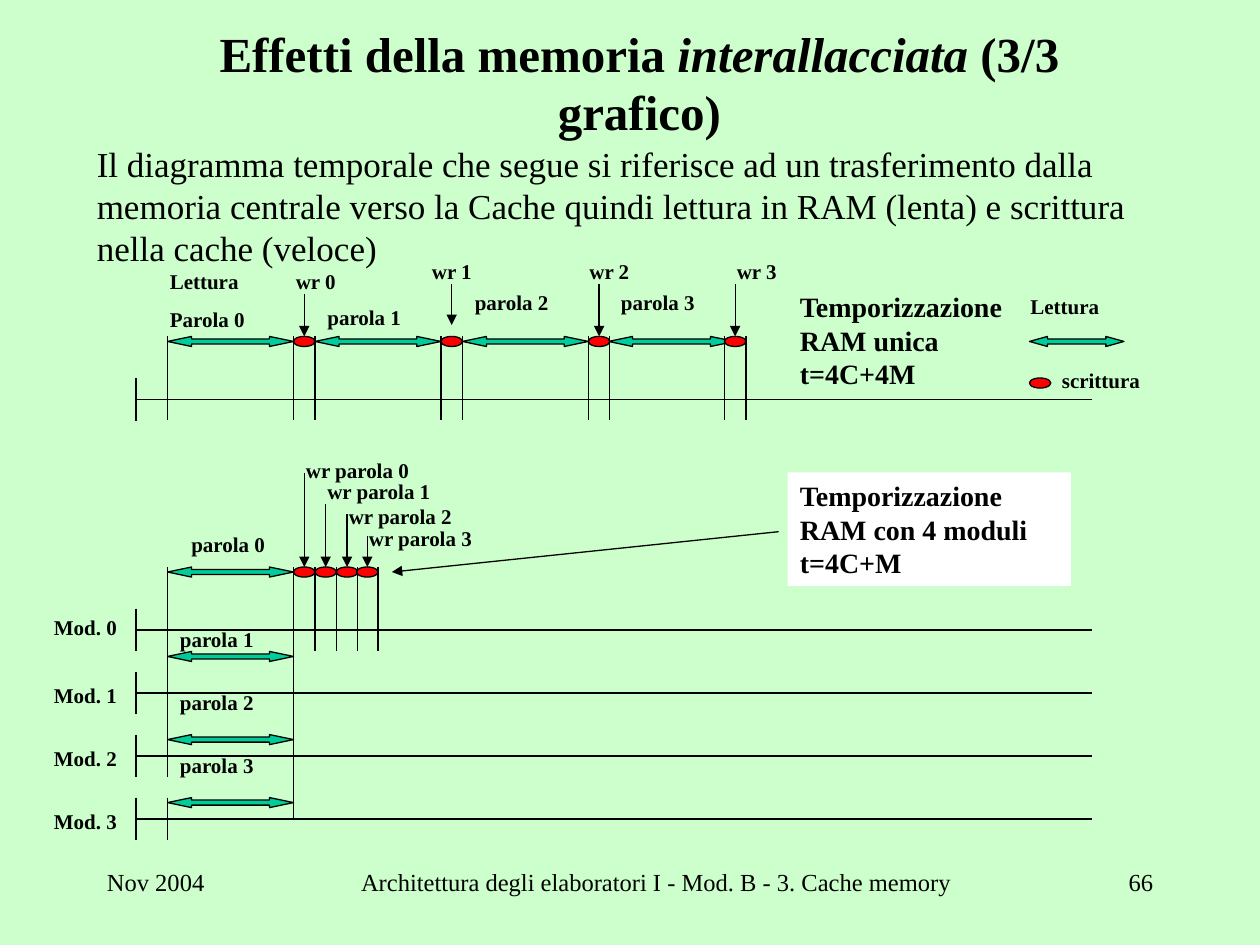
from lxml.etree import SubElement
from pptx import Presentation
from pptx.dml.color import RGBColor
from pptx.enum.shapes import MSO_CONNECTOR, MSO_SHAPE
from pptx.enum.text import MSO_ANCHOR, PP_ALIGN
from pptx.oxml.ns import qn
from pptx.util import Inches, Pt

color = RGBColor.from_string
BLACK, GREEN, RED = "000000", "00CC99", "FF0000"
THIN = 0.17  # width of one cache write
HIGH = 0.08  # height of the time marks

deck = Presentation()
deck.slide_width, deck.slide_height = Inches(10), Inches(7.5)
slide = deck.slides.add_slide(deck.slide_layouts[6])
slide.background.fill.solid()
slide.background.fill.fore_color.rgb = color("CCFFCC")
shapes = slide.shapes


def line(x1, y1, x2, y2, arrow=False):
    """Draw a thin line, with an arrowhead at its end if asked."""
    link = shapes.add_connector(MSO_CONNECTOR.STRAIGHT, *map(Inches, (x1, y1, x2, y2)))
    link.line.color.rgb = color(BLACK)
    link.line.width = Pt(0.75)
    if arrow:
        SubElement(link.line._get_or_add_ln(), qn("a:tailEnd"), type="triangle")
    SubElement(link._element.spPr, qn("a:effectLst"))


def text(x, y, wide, high, words, align=PP_ALIGN.LEFT, gap=7.5, **style):
    """Add a text box; newlines part paragraphs, bars enclose italics."""
    box = shapes.add_textbox(*map(Inches, (x, y, wide, high)))
    frame = box.text_frame
    frame.word_wrap = True
    look = {"name": "Times New Roman", "size": Pt(12), "bold": True} | style
    for i, row in enumerate(words.split("\n")):
        para = frame.add_paragraph() if i else frame.paragraphs[0]
        para.alignment, para.space_before = align, Pt(gap)
        for j, part in enumerate(row.split("|")):
            run = para.add_run()
            run.text = part
            for key, value in look.items():
                setattr(run.font, key, value)
            run.font.italic = j % 2 == 1
            run.font.color.rgb = color(BLACK)
    return box


# Title and introduction
title = text(1.06, 0.36, 8.03, 0.58,
             "Effetti della memoria |interallacciata |(3/3 grafico)",
             PP_ALIGN.CENTER, 0, size=Pt(28))
title.text_frame.vertical_anchor = MSO_ANCHOR.MIDDLE
text(0.67, 1.08, 8.5, 1.1,
     "Il diagramma temporale che segue si riferisce ad un trasferimento dalla "
     "memoria centrale verso la Cache quindi lettura in RAM (lenta) e scrittura "
     "nella cache (veloce)", gap=12.5, size=Pt(20), bold=False)

# Time axes: single RAM, then one for each module
for axis in (3.17, 5, 5.5, 6, 6.5):
    line(1.08, axis, 8.67, axis)
    line(1.08, axis - 0.17, 1.08, axis + 0.17)
for axis in (5.5, 6, 6.5):
    line(1.33, axis - 0.17, 1.33, axis + 0.17)

# Time limits of reads and writes
line(1.33, 2.67, 1.33, 3.33)
writes = (2.33, 3.5, 4.67, 5.75)
for x in writes:
    for side in (x, x + THIN):
        line(side, 2.67, side, 3.33)
line(1.33, 4.5, 1.33, 5.83)
line(2.33, 4.5, 2.33, 6.5)
bursts = (2.33, 2.5, 2.67, 2.83)
for x in bursts:
    line(x + THIN, 4.5, x + THIN, 5.17)

# Reads are double arrows, writes are ovals
reads = [(x, 2.67, 1) for x in (1.33, 2.5, 3.67, 4.83)]
reads += [(1.33, y, 1) for y in (4.5, 5.17, 5.83, 6.33)]
reads += [(8.17, 2.67, 0.75)]
dots = [(x, 2.67, THIN) for x in writes] + [(x, 4.5, THIN) for x in bursts]
dots += [(8.17, 3, THIN)]
for kind, fill, places in ((MSO_SHAPE.LEFT_RIGHT_ARROW, GREEN, reads),
                           (MSO_SHAPE.OVAL, RED, dots)):
    for x, y, wide in places:
        mark = shapes.add_shape(kind, *map(Inches, (x, y, wide, HIGH)))
        mark.shadow.inherit = False
        mark.fill.solid()
        mark.fill.fore_color.rgb = color(fill)
        mark.line.color.rgb = color(BLACK)
        mark.line.width = Pt(0.75)
        if fill == GREEN:
            mark.adjustments[1] = 2.39 * wide

# Labels of the single RAM
text(1.25, 2.08, 1.33, 0.61, "Lettura\nParola 0")
for i, (x, y) in enumerate(((2.5, 2.37), (3.67, 2.25), (4.83, 2.25)), 1):
    text(x, y, 1.08, 0.3, f"parola {i}")
heads = ((2.25, 2.08, 2.33, 2.67), (3.33, 2, 2.25, 2.58),
         (4.58, 2, 2.25, 2.67), (5.75, 2, 2.25, 2.67))
for i, (x, y, top, end) in enumerate(heads):
    text(x, y, 0.67, 0.3, f"wr {i}")
    mid = writes[i] + THIN / 2
    line(mid, top, mid, end, True)

# Labels of the four modules
names = ((1.42, 4.17), (1.33, 4.92), (1.33, 5.42), (1.33, 5.92))
for i, (x, y) in enumerate(names):
    text(x, y, 1.33, 0.3, f"parola {i}")
for i, y in enumerate((4.83, 5.37, 5.87, 6.37)):
    text(0.33, y, 1, 0.3, f"Mod. {i}")
tops = ((3.58, 3.75), (3.75, 4), (3.95, 4.08), (4.12, 4.25))
for i, (x, (y, top)) in enumerate(zip(bursts, tops)):
    text(x, y, 1.33, 0.3, f"wr parola {i}")
    line(x + THIN / 2, top, x + THIN / 2, 4.5, True)

# Timing notes and key
text(6.25, 2.25, 2.25, 0.9, "Temporizzazione RAM unica t=4C+4M", gap=10, size=Pt(16))
note = text(6.25, 3.75, 2.25, 0.9, "Temporizzazione RAM con 4 moduli t=4C+M",
            gap=10, size=Pt(16))
note.fill.solid()
note.fill.fore_color.rgb = color("FFFFFF")
line(6.18, 4.22, 3.11, 4.54, True)
text(8.08, 2.28, 1.17, 0.3, "Lettura")
text(8.33, 2.87, 1.17, 0.3, "scrittura")

# Footer
for x, wide, words, align in (
        (0.75, 1.67, "Nov 2004", PP_ALIGN.LEFT),
        (2.67, 5.08, "Architettura degli elaboratori I - Mod. B - 3. Cache memory",
         PP_ALIGN.CENTER),
        (8.17, 1.08, "66", PP_ALIGN.RIGHT)):
    text(x, 6.83, wide, 0.5, words, align, 0, size=Pt(14), bold=False)

deck.save("out.pptx")
